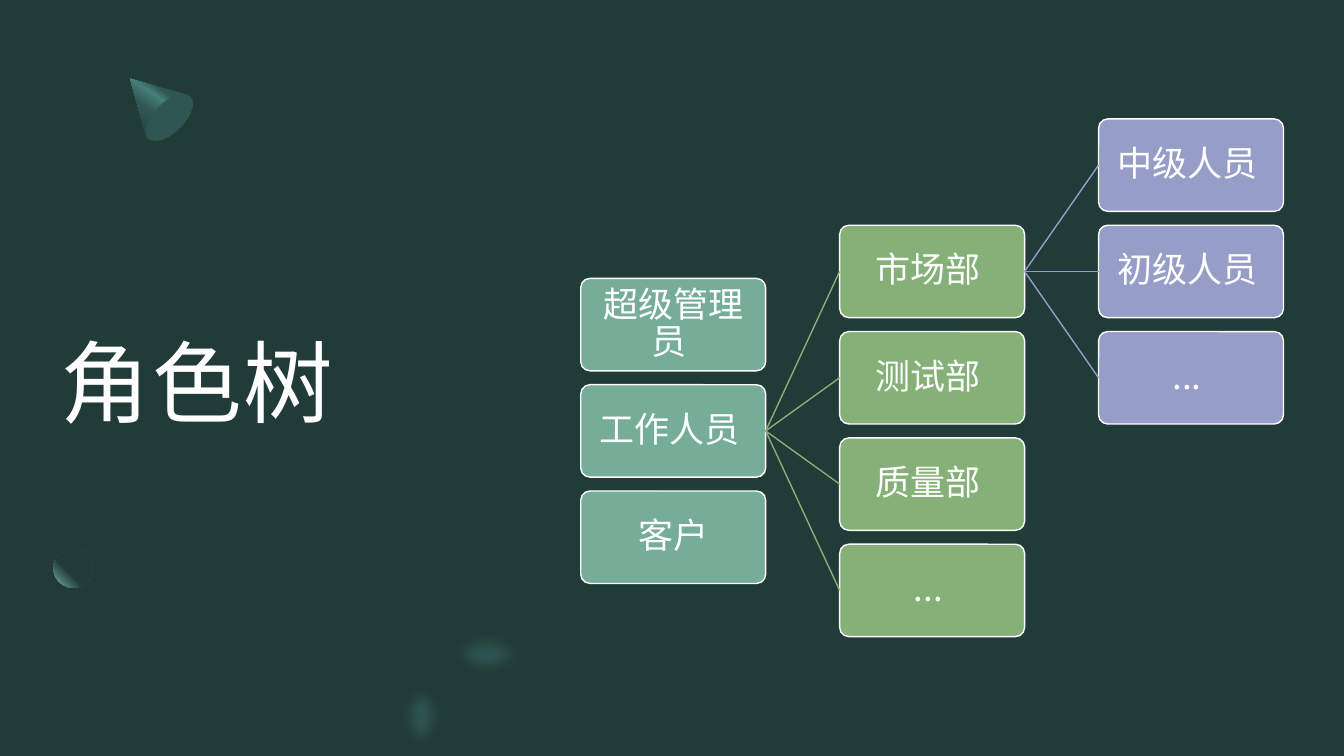
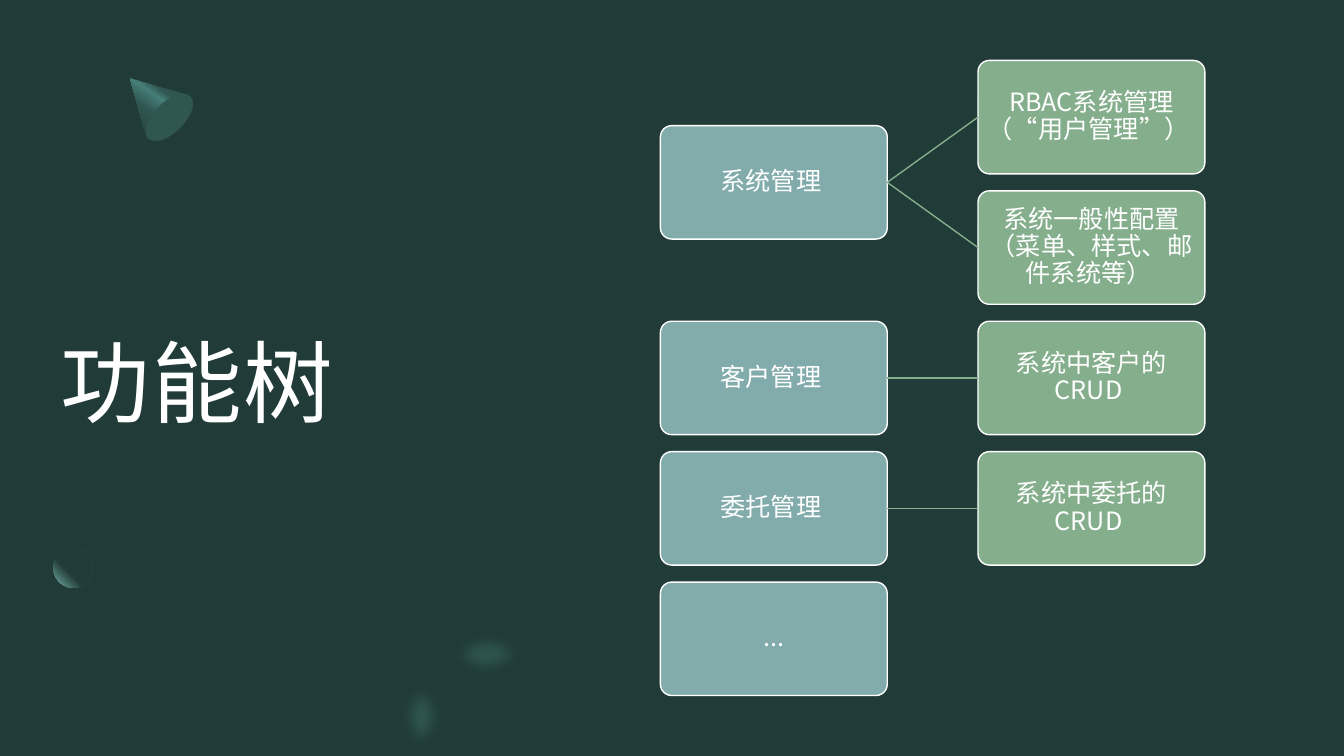
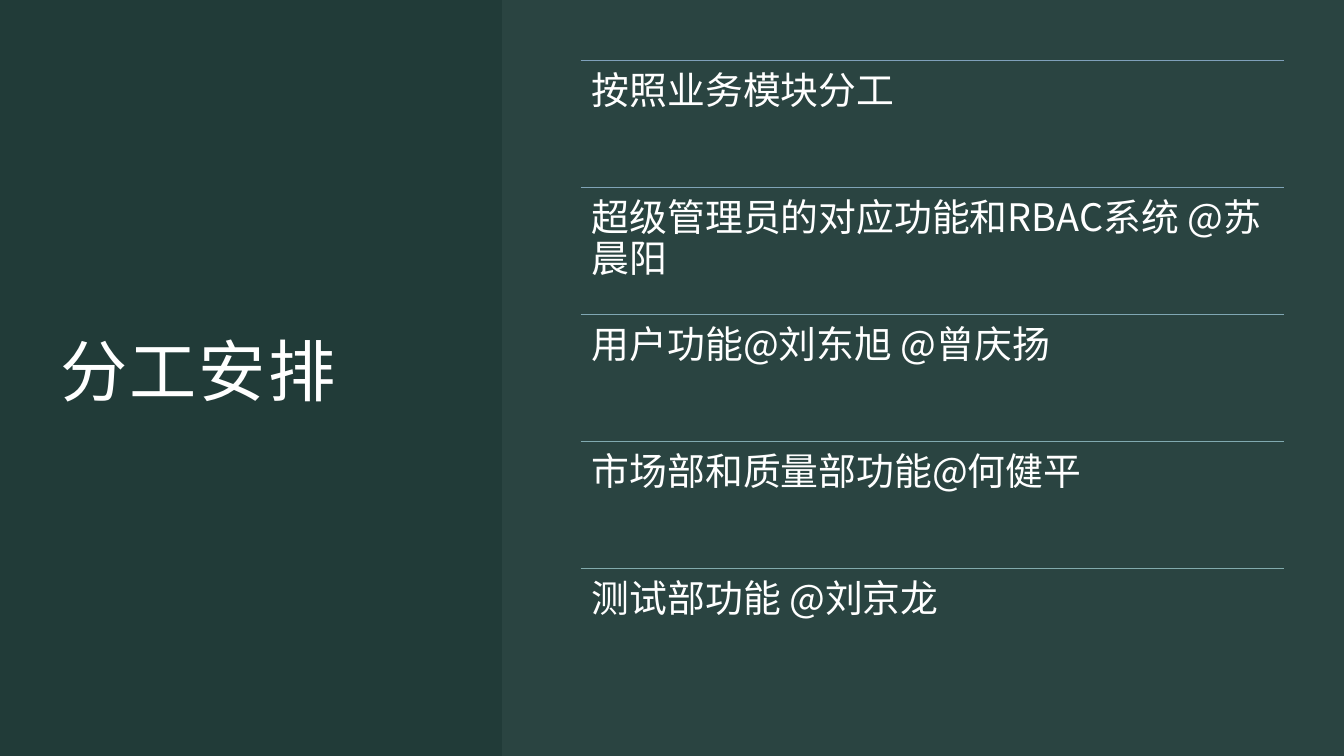
from dataclasses import dataclass
from lxml.etree import SubElement
from pptx import Presentation
from pptx.dml.color import RGBColor
from pptx.enum.shapes import MSO_CONNECTOR as Connector, MSO_SHAPE as Shape
from pptx.enum.text import MSO_ANCHOR as Anchor, PP_ALIGN as Align
from pptx.oxml import parse_xml
from pptx.oxml.ns import nsdecls, qn
from pptx.util import Inches, Pt


@dataclass(frozen=True)
class Theme:
    font: str = "Noto Sans CJK SC"
    ground: str = "213B38"
    white: str = "FFFFFF"
    panel: str = "E4F0EF"
    cone: str = "305651"
    cone_light: str = "467E78"
    ball_light: str = "79B4AD"
    teal: str = "76AD98"
    green: str = "85B078"
    violet: str = "969DC6"
    blue: str = "82ABAC"
    sage: str = "84AE8C"
    rules: tuple = ("7FA0BA", "80A4B7", "80A7B3", "81AAB0", "82ABAC")
    title_size: int = 64
    small_title_size: int = 48
    role_size: int = 25
    feature_size: int = 18
    item_size: int = 27
    line_width: int = 1


theme = Theme()


def write(shape, text, size, spacing, anchor, inset=0, align=Align.LEFT, tracking=0):
    frame = shape.text_frame
    frame.word_wrap = True
    frame.vertical_anchor = anchor
    frame.margin_left = frame.margin_right = Inches(inset)
    frame.margin_top = frame.margin_bottom = Inches(inset)
    para = frame.paragraphs[0]
    para.text = text
    para.alignment = align
    para.line_spacing = spacing
    para.font.size = Pt(size)
    para.font.name = theme.font
    para.font.color.rgb = RGBColor.from_string(theme.white)
    properties = para.font._rPr
    SubElement(properties, qn("a:ea"), typeface=theme.font)
    properties.set("spc", str(tracking))


def draw_line(slide, start, end, color):
    line = slide.shapes.add_connector(Connector.STRAIGHT, *start, *end)
    line.line.color.rgb = RGBColor.from_string(color)
    line.line.width = Pt(theme.line_width)
    SubElement(line._element.spPr, qn("a:effectLst"))
    return line


deck = Presentation()
deck.slide_width, deck.slide_height = Inches(13.33), Inches(7.5)

slides = []
for title, size, place in (
    ("角色树", theme.title_size, (0.6, 1.66, 4.96, 4.13)),
    ("功能树", theme.title_size, (0.6, 1.66, 4.96, 4.13)),
    ("分工安排", theme.small_title_size, (0.6, 0.6, 3.9, 6.06)),
):
    slide = deck.slides.add_slide(deck.slide_layouts[6])
    slide.background.fill.solid()
    slide.background.fill.fore_color.rgb = RGBColor.from_string(theme.ground)
    title_box = slide.shapes.add_textbox(*map(Inches, place))
    write(title_box, title, size, 1.1, Anchor.MIDDLE, tracking=150)
    slides.append(slide)
role_slide, feature_slide, work_slide = slides

cone_outline = ((1.86, 0.94), (1.89, 0.97), (1.46, 1.38), (1.45, 1.35))
cone_stops = ((30, theme.cone), (40, theme.cone_light), (60, theme.cone), (100, theme.ground))
cone_shade = '<a:lin ang="7500000" scaled="0"/>'
ball_stops = ((60, theme.ground), (100, theme.ball_light))
ball_shade = '<a:path path="circle"><a:fillToRect l="100000" b="100000"/></a:path>'

for slide in (role_slide, feature_slide):
    outline = slide.shapes.build_freeform(Inches(1.29), Inches(0.78))
    outline.add_line_segments([(Inches(x), Inches(y)) for x, y in cone_outline])
    cone = outline.convert_to_shape()
    base = slide.shapes.add_shape(Shape.OVAL, *map(Inches, (1.53, 0.87, 0.3, 0.59)))
    base.rotation = 45
    ball = slide.shapes.add_shape(Shape.OVAL, *map(Inches, (0.53, 5.44, 0.39, 0.39)))
    glows = [
        slide.shapes.add_shape(Shape.OVAL, *map(Inches, place))
        for place in ((4.4, 6.24, 0.86, 0.5), (3.93, 6.7, 0.5, 0.82))
    ]
    for shape in (cone, base, ball, *glows):
        shape.shadow.inherit = False
        shape.line.fill.background()
    for shape in (base, *glows):
        shape.fill.solid()
        shape.fill.fore_color.rgb = RGBColor.from_string(theme.cone)
    for shape, stops, shade in ((cone, cone_stops, cone_shade), (ball, ball_stops, ball_shade)):
        stop_list = "".join(
            f'<a:gs pos="{position * 1000}"><a:srgbClr val="{color}"/></a:gs>'
            for position, color in stops
        )
        gradient = parse_xml(
            f'<a:gradFill {nsdecls("a")} rotWithShape="1">'
            f"<a:gsLst>{stop_list}</a:gsLst>{shade}</a:gradFill>"
        )
        shape._element.spPr.find(qn("a:ln")).addprevious(gradient)
    for glow in glows:
        effects = glow._element.spPr.find(qn("a:effectLst"))
        SubElement(effects, qn("a:softEdge"), rad=str(Pt(9)))

role_nodes = (
    ("超级管理员 ", 0, 1.5, None),
    ("工作人员 ", 0, 2.5, None),
    ("客户", 0, 3.5, None),
    ("市场部 ", 1, 1, 1),
    ("测试部 ", 1, 2, 1),
    ("质量部 ", 1, 3, 1),
    ("... ", 1, 4, 1),
    ("中级人员 ", 2, 0, 3),
    ("初级人员 ", 2, 1, 3),
    ("... ", 2, 2, 3),
)
feature_nodes = (
    ("系统管理 ", 0, 0.5, None),
    ("客户管理 ", 0, 2, None),
    ("委托管理 ", 0, 3, None),
    ("...", 0, 4, None),
    ("RBAC系统管理（“用户管理”） ", 1, 0, 0),
    ("系统一般性配置（菜单、样式、邮件系统等） ", 1, 1, 0),
    ("系统中客户的CRUD ", 1, 2, 1),
    ("系统中委托的CRUD ", 1, 3, 2),
)
trees = (
    (role_slide, role_nodes, (theme.teal, theme.green, theme.violet),
     5.76, 1.18, 6.97, theme.role_size, 0.03),
    (feature_slide, feature_nodes, (theme.blue, theme.sage),
     6.55, 0.6, 5.4, theme.feature_size, 0.04),
)
for slide, nodes, colors, left, top, tree_width, size, inset in trees:
    width = tree_width / (1.4 * len(colors) - 0.4)
    height = width / 2
    boxes = []
    for text, level, row, parent in nodes:
        x = left + 1.4 * width * level
        y = top + 1.15 * height * row
        box = slide.shapes.add_shape(
            Shape.ROUNDED_RECTANGLE, Inches(x), Inches(y), Inches(width), Inches(height)
        )
        box.adjustments[0] = 0.1
        box.shadow.inherit = False
        box.fill.solid()
        box.fill.fore_color.rgb = RGBColor.from_string(colors[level])
        box.line.color.rgb = RGBColor.from_string(theme.white)
        box.line.width = Pt(theme.line_width)
        write(box, text, size, 0.9, Anchor.MIDDLE, inset, Align.CENTER)
        boxes.append(box)
        if parent is not None:
            branch = draw_line(slide, (0, 0), (0, 0), colors[level])
            branch.begin_connect(boxes[parent], 3)
            branch.end_connect(box, 1)

panel = work_slide.shapes.add_shape(Shape.RECTANGLE, *map(Inches, (4.98, 0, 8.35, 7.5)))
panel.shadow.inherit = False
panel.line.fill.background()
panel.fill.solid()
panel.fill.fore_color.rgb = RGBColor.from_string(theme.panel)
panel_color = panel._element.spPr.find(qn("a:solidFill"))[0]
SubElement(panel_color, qn("a:alpha"), val="5000")

work_items = (
    "按照业务模块分工",
    "超级管理员的对应功能和RBAC系统 @苏晨阳",
    "用户功能@刘东旭 @曾庆扬",
    "市场部和质量部功能@何健平",
    "测试部功能 @刘京龙",
)
item_left, item_width, item_height = Inches(5.76), Inches(6.97), Inches(1.26)
for index, (text, color) in enumerate(zip(work_items, theme.rules)):
    y = Inches(0.6) + index * item_height
    draw_line(work_slide, (item_left, y), (item_left + item_width, y), color)
    item = work_slide.shapes.add_textbox(item_left, y, item_width, item_height)
    write(item, text, theme.item_size, 0.9, Anchor.TOP, 0.11)

deck.save("out.pptx")
